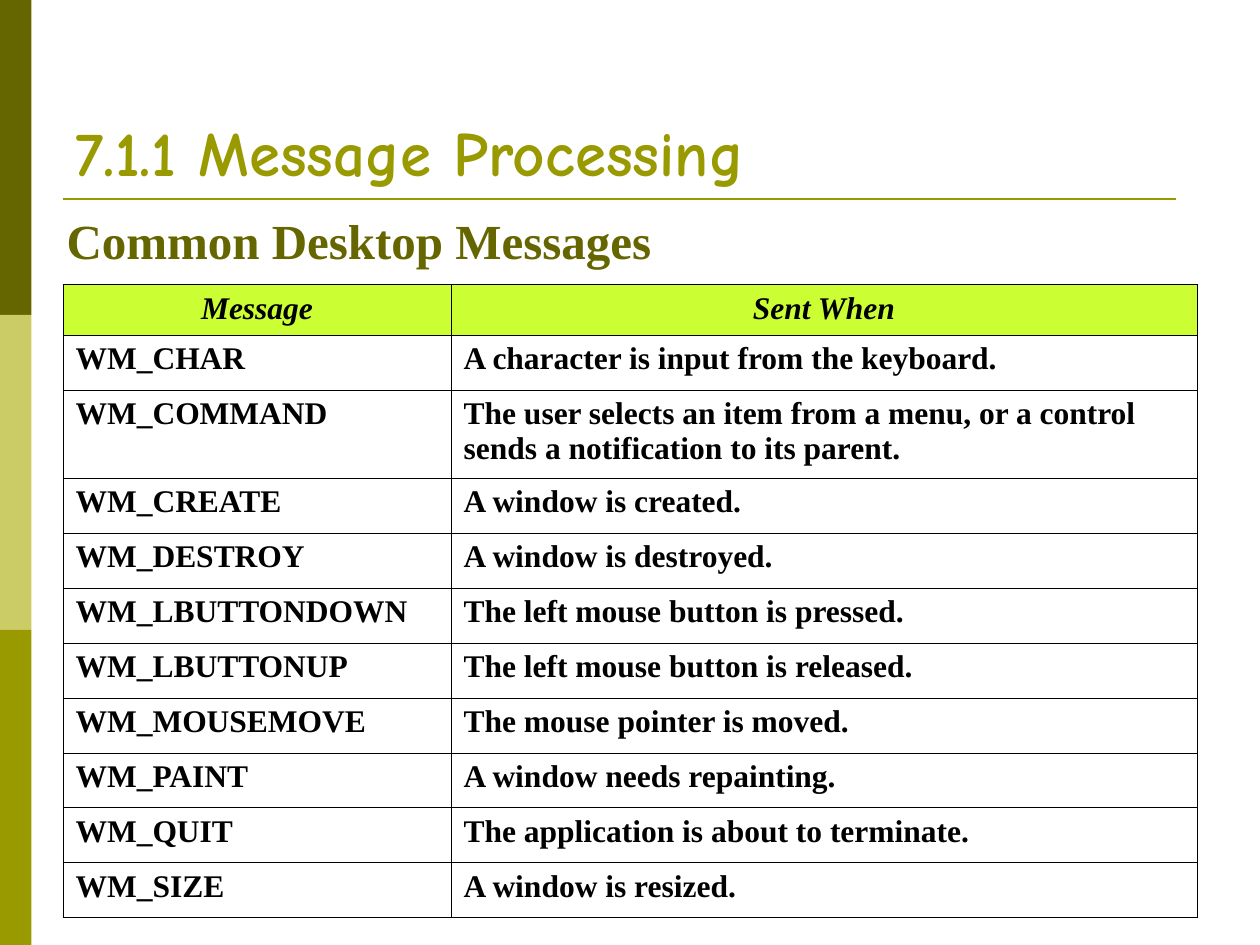
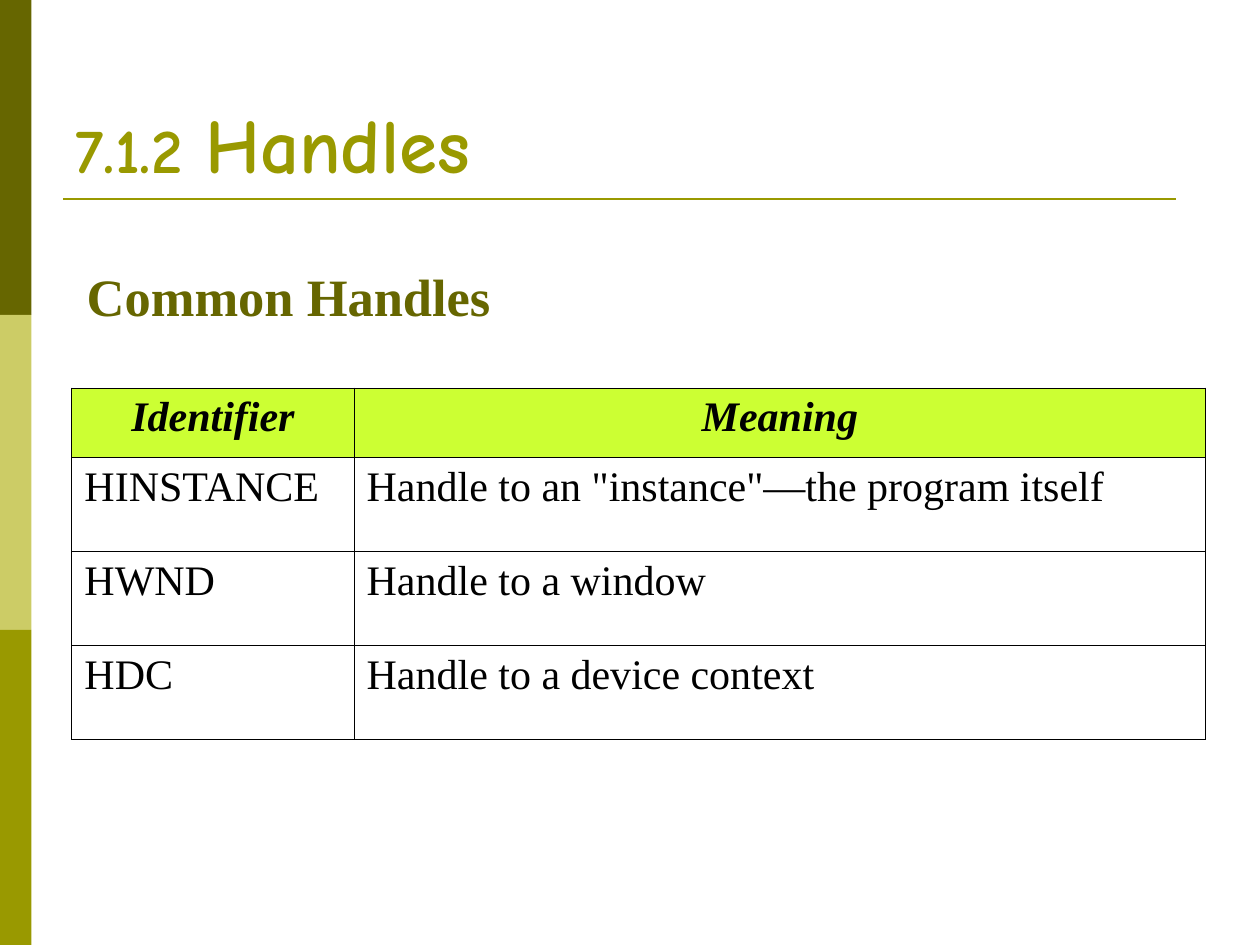
from lxml.etree import SubElement
from pptx import Presentation
from pptx.dml.color import RGBColor
from pptx.enum.shapes import MSO_CONNECTOR, MSO_SHAPE
from pptx.enum.text import MSO_ANCHOR, PP_ALIGN
from pptx.oxml import parse_xml
from pptx.oxml.ns import nsdecls, qn
from pptx.util import Inches, Pt

# Shared style
DARK_OLIVE = RGBColor(0x66, 0x66, 0x00)
PALE_OLIVE = RGBColor(0xCC, 0xCC, 0x66)
OLIVE = RGBColor(0x99, 0x99, 0x00)
LIME = RGBColor(0xCC, 0xFF, 0x33)
BLACK = RGBColor(0, 0, 0)
TITLE_FONT = "Comic Neue"
BODY_FONT = "Times New Roman"

# The slide is a grid of square units, ten to the inch
COLUMNS, ROWS = 100, 75
MARGIN = 5
TABLE_WIDTH = 90

MESSAGES = [
    ("Message", "Sent When"),
    ("WM_CHAR", "A character is input from the keyboard."),
    ("WM_COMMAND", "The user selects an item from a menu, or a control "
                   "sends a notification to its parent."),
    ("WM_CREATE", "A window is created."),
    ("WM_DESTROY", "A window is destroyed."),
    ("WM_LBUTTONDOWN", "The left mouse button is pressed."),
    ("WM_LBUTTONUP", "The left mouse button is released."),
    ("WM_MOUSEMOVE", "The mouse pointer is moved."),
    ("WM_PAINT", "A window needs repainting."),
    ("WM_QUIT", "The application is about to terminate."),
    ("WM_SIZE", "A window is resized."),
]
HANDLES = [
    ("Identifier", "Meaning"),
    ("HINSTANCE", 'Handle to an "instance"—the program itself'),
    ("HWND", "Handle to a window"),
    ("HDC", "Handle to a device context"),
]


def units(count):
    return Inches(count / 10)


def write(paragraph, text, **font_format):
    """Add a run; the keywords are attributes of its font."""
    run = paragraph.add_run()
    run.text = text
    color = font_format.pop("color")
    for attribute, value in font_format.items():
        setattr(run.font, attribute, value)
    run.font.color.rgb = color


def add_text(slide, place, runs, font, color, anchor=MSO_ANCHOR.TOP):
    """Add one bold line made of (text, size) runs."""
    frame = slide.shapes.add_textbox(*map(units, place)).text_frame
    frame.word_wrap = True
    frame.vertical_anchor = anchor
    for text, size in runs:
        write(frame.paragraphs[0], text, name=font, size=Pt(size),
              bold=True, color=color)


def add_side_bands(slide):
    colors = (DARK_OLIVE, PALE_OLIVE, OLIVE)
    height = ROWS / len(colors)
    for index, color in enumerate(colors):
        band = slide.shapes.add_shape(
            MSO_SHAPE.RECTANGLE, 0, units(index * height),
            units(2.5), units(height))
        band.shadow.inherit = False
        band.fill.solid()
        band.fill.fore_color.rgb = color
        band.line.fill.background()


def add_title_rule(slide):
    rule = slide.shapes.add_connector(
        MSO_CONNECTOR.STRAIGHT, units(MARGIN), units(15.8),
        units(93.3), units(15.8))
    rule.line.color.rgb = OLIVE
    rule.line.width = Pt(1.5)
    SubElement(rule.line._get_or_add_ln().getparent(), qn("a:effectLst"))


def add_topic_slide(deck, title_runs):
    """Blank slide with the bands, the title and its rule."""
    slide = deck.slides.add_slide(deck.slide_layouts[6])
    add_side_bands(slide)
    add_title_rule(slide)
    add_text(slide, (MARGIN, 3, TABLE_WIDTH, 12.5), title_runs,
             TITLE_FONT, OLIVE, MSO_ANCHOR.BOTTOM)
    return slide


def outline(cell):
    properties = cell._tc.get_or_add_tcPr()
    for position, side in enumerate(("lnL", "lnR", "lnT", "lnB")):
        properties.insert(position, parse_xml(
            f'<a:{side} {nsdecls("a")} w="{Pt(0.45)}"><a:solidFill>'
            f'<a:srgbClr val="{BLACK}"/></a:solidFill></a:{side}>'))


def add_glossary(slide, left, top, entries, term_width, heights, size, bold):
    """Two-column table: a lime heading row, then terms and explanations."""
    table = slide.shapes.add_table(
        len(entries), 2, units(left), units(top),
        units(TABLE_WIDTH), units(sum(heights))).table
    table.horz_banding = False
    for column, width in zip(table.columns,
                             (term_width, TABLE_WIDTH - term_width)):
        column.width = units(width)
    for index, (row, height, texts) in enumerate(
            zip(table.rows, heights, entries)):
        row.height = units(height)
        heading = index == 0
        for cell, text in zip(row.cells, texts):
            if heading:
                cell.fill.solid()
                cell.fill.fore_color.rgb = LIME
            else:
                cell.fill.background()
            outline(cell)
            paragraph = cell.text_frame.paragraphs[0]
            paragraph.alignment = PP_ALIGN.CENTER if heading else PP_ALIGN.LEFT
            write(paragraph, text, name=BODY_FONT, size=Pt(size),
                  bold=heading or bold, italic=heading, color=BLACK)


def main():
    deck = Presentation()
    deck.slide_width, deck.slide_height = units(COLUMNS), units(ROWS)

    # Message processing
    slide = add_topic_slide(deck, [("7.1.1 Message Processing", 36)])
    add_text(slide, (4.3, 16.2, 60.4, 5.7), [("Common Desktop Messages", 28)],
             BODY_FONT, DARK_OLIVE)
    add_glossary(slide, MARGIN, 22.6, MESSAGES, term_width=30.8,
                 heights=[4, 4.36, 7] + [4.36] * 8, size=18, bold=True)

    # Handles
    slide = add_topic_slide(deck, [("7.1.2 ", 36), ("Handles", 44)])
    add_glossary(slide, 5.7, 30.8, HANDLES, term_width=22.4,
                 heights=[5.5] + [7.47] * 3, size=24, bold=False)
    add_text(slide, (5.9, 20.5, 50, 6), [("Common Handles", 30)],
             BODY_FONT, DARK_OLIVE)

    deck.save("out.pptx")


if __name__ == "__main__":
    main()
